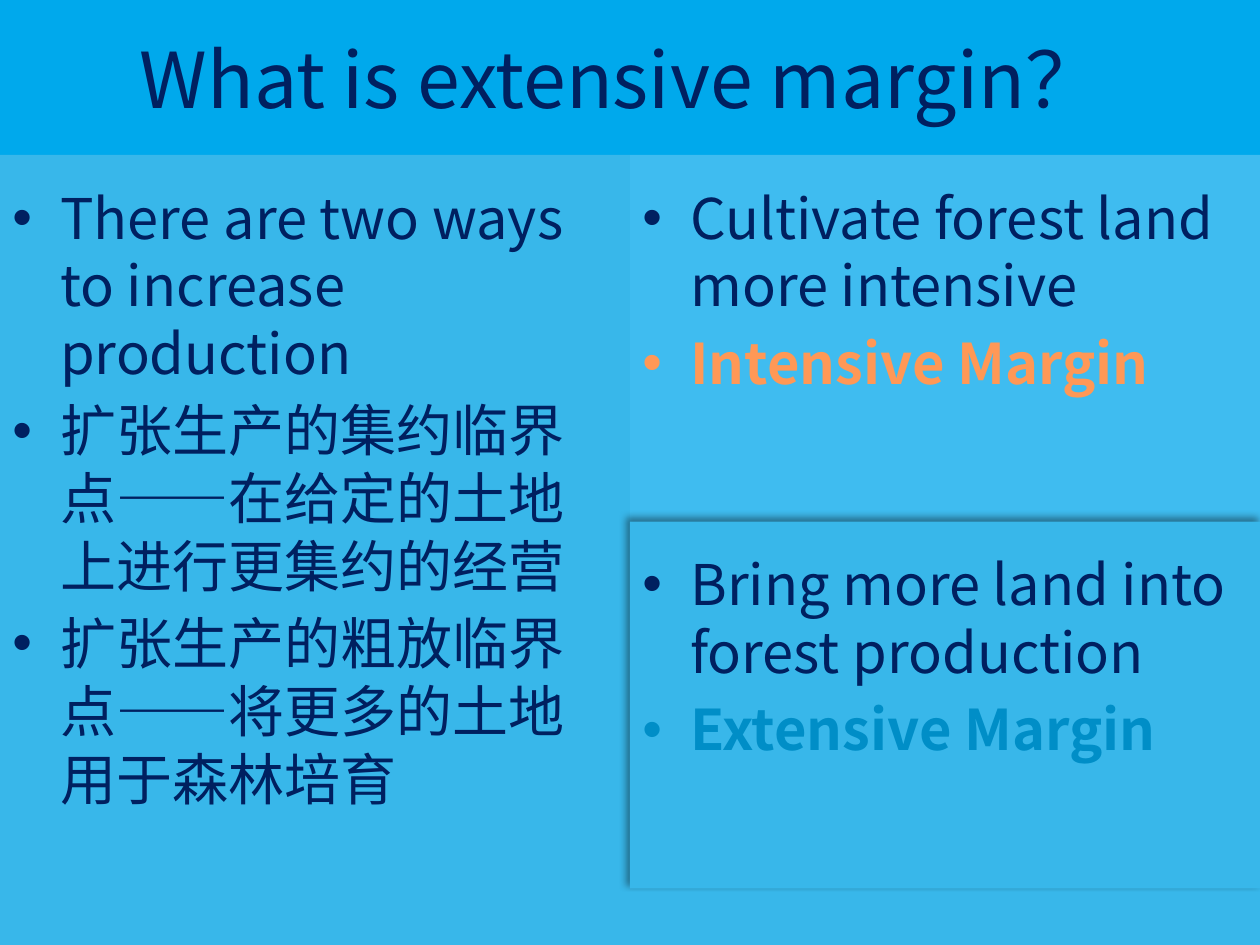
from lxml.etree import SubElement
from pptx import Presentation
from pptx.dml.color import RGBColor
from pptx.enum.text import MSO_ANCHOR, MSO_AUTO_SIZE, PP_ALIGN
from pptx.oxml.ns import qn
from pptx.util import Inches, Pt

FONT = "Noto Sans CJK SC"
NAVY = "002060"
SKY = "38B7EA"


def paint(fill, color):
    fill.solid()
    fill.fore_color.rgb = RGBColor.from_string(color)


def add_span(para, text, size, color=NAVY, bold=False):
    span = para.add_run()
    span.text = text
    span.font.name = FONT
    span.font.size = Pt(size)
    span.font.bold = bold
    paint(span.font.fill, color)
    SubElement(span.font._element, qn("a:ea"), typeface=FONT)


def add_bullet(para):
    properties = para._p.get_or_add_pPr()
    properties.set("marL", str(Inches(0.38)))
    properties.set("indent", str(-Inches(0.38)))
    SubElement(properties, qn("a:buFont"), typeface="Arial")
    SubElement(properties, qn("a:buChar"), char="•")


def add_shadow(box):
    effects = SubElement(box._element.spPr, qn("a:effectLst"))
    shadow = SubElement(effects, qn("a:outerShdw"), blurRad=str(Pt(4)),
                        dist=str(Pt(3)), dir=str(225 * 60000), rotWithShape="0")
    color = SubElement(shadow, qn("a:srgbClr"), val="000000")
    SubElement(color, qn("a:alpha"), val="40000")


def fill_title(title, left, top, width, height):
    title.left, title.top = Inches(left), Inches(top)
    title.width, title.height = Inches(width), Inches(height)
    paint(title.fill, "00A9EC")
    frame = title.text_frame
    frame.auto_size = MSO_AUTO_SIZE.NONE
    frame.vertical_anchor = MSO_ANCHOR.MIDDLE
    para = frame.paragraphs[0]
    para.alignment = PP_ALIGN.CENTER
    add_span(para, "What is extensive margin？ ", 44)


def add_panel(page, left, top, width, height, color, items):
    box = page.shapes.add_textbox(Inches(left), Inches(top), Inches(width), Inches(height))
    paint(box.fill, color)
    frame = box.text_frame
    frame.word_wrap = True
    frame.margin_top = Inches(0.22)
    for index, (text, text_color, bold) in enumerate(items):
        para = frame.add_paragraph() if index else frame.paragraphs[0]
        add_bullet(para)
        para.line_spacing = Pt(38.7)
        para.space_before = Pt(5.5 if index else 0)
        add_span(para, text, 32, text_color, bold)
    return box


def main():
    deck = Presentation()
    deck.slide_width, deck.slide_height = Inches(10), Inches(7.5)
    page = deck.slides.add_slide(deck.slide_layouts[5])
    paint(page.background.fill, SKY)

    fill_title(page.shapes.title, 0, 0, 10, 1.23)
    add_panel(page, 0, 1.23, 5, 5.91, SKY, [
        ("There are two ways to increase production", NAVY, False),
        ("扩张生产的集约临界点——在给定的土地上进行更集约的经营", NAVY, False),
        ("扩张生产的粗放临界点——将更多的土地用于森林培育", NAVY, False),
    ])
    add_panel(page, 5, 1.23, 5, 2.91, "3FBCF0", [
        ("Cultivate forest land more intensive", NAVY, False),
        ("Intensive Margin", "FF9856", True),
    ])
    extensive = add_panel(page, 5, 4.14, 5, 2.91, SKY, [
        ("Bring more land into forest production", NAVY, False),
        ("Extensive Margin", "008EC7", True),
    ])
    add_shadow(extensive)
    deck.save("out.pptx")


if __name__ == "__main__":
    main()
